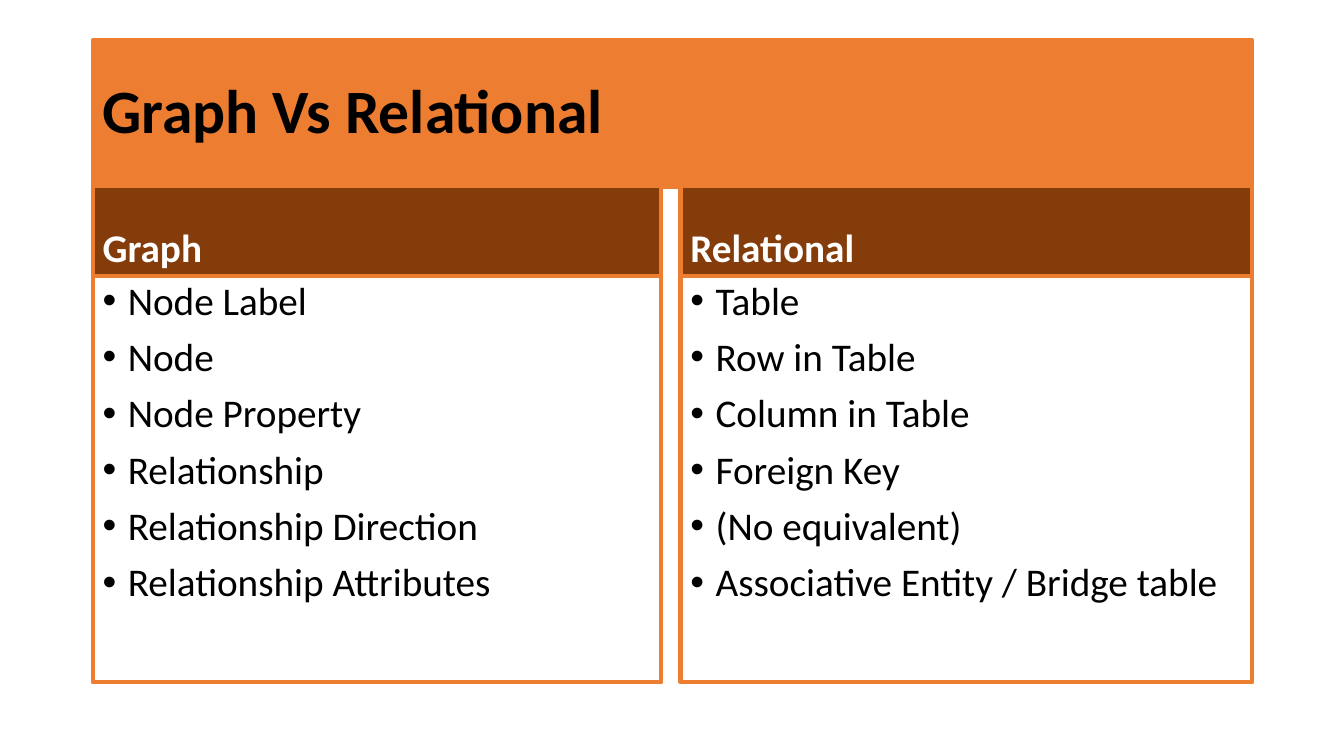
from pptx import Presentation
from pptx.dml.color import RGBColor
from pptx.enum.shapes import MSO_SHAPE
from pptx.enum.text import MSO_ANCHOR, PP_ALIGN
from pptx.oxml.xmlchemy import OxmlElement
from pptx.util import Inches, Pt

COLORS = {"orange": "ED7D31", "brown": "843C0B", "black": "000000", "white": "FFFFFF"}
FONT = "Calibri"

LEFT = 0.92
TITLE_TOP, TITLE_HEIGHT = 0.4, 1.45
HEADER_TOP, HEADER_HEIGHT = 1.84, 0.9
LIST_TOP, LIST_HEIGHT = HEADER_TOP + HEADER_HEIGHT, 4.03

# Heading, left, width and entries of each column
COLUMNS = [
    ("Graph", LEFT, 5.64,
     ["Node Label", "Node", "Node Property", "Relationship",
      "Relationship Direction", "Relationship Attributes"]),
    ("Relational", 6.75, 5.67,
     ["Table", "Row in Table", "Column in Table", "Foreign Key",
      "(No equivalent)", "Associative Entity / Bridge table"]),
]


def color(name):
    return RGBColor.from_string(COLORS[name])


def add_box(slide, left, top, width, height, fill=None, anchor=MSO_ANCHOR.TOP):
    """Add an orange-outlined rectangle and return its text frame."""
    shape = slide.shapes.add_shape(
        MSO_SHAPE.RECTANGLE, Inches(left), Inches(top), Inches(width), Inches(height))
    shape.shadow.inherit = False
    if fill:
        shape.fill.solid()
        shape.fill.fore_color.rgb = color(fill)
    else:
        shape.fill.background()
    shape.line.color.rgb = color("orange")
    shape.line.width = Pt(3)
    frame = shape.text_frame
    frame.word_wrap = True
    frame.vertical_anchor = anchor
    return frame


def add_bullet(paragraph):
    properties = paragraph._p.get_or_add_pPr()
    properties.set("marL", str(Inches(0.25)))
    properties.set("indent", str(-Inches(0.25)))
    font = OxmlElement("a:buFont")
    font.set("typeface", "Arial")
    bullet = OxmlElement("a:buChar")
    bullet.set("char", "•")
    properties.extend([font, bullet])


def write(paragraph, text, size=28, font_color="black", bold=False,
          space_before=10, bullet=False):
    paragraph.alignment = PP_ALIGN.LEFT
    paragraph.line_spacing = 0.9
    paragraph.space_before = Pt(space_before)
    if bullet:
        add_bullet(paragraph)
    run = paragraph.add_run()
    run.text = text
    run.font.name = FONT
    run.font.size = Pt(size)
    run.font.bold = bold
    run.font.color.rgb = color(font_color)


def add_column(slide, heading, left, width, entries):
    header = add_box(slide, left, HEADER_TOP, width, HEADER_HEIGHT,
                     fill="brown", anchor=MSO_ANCHOR.BOTTOM)
    write(header.paragraphs[0], heading, font_color="white", bold=True)

    frame = add_box(slide, left, LIST_TOP, width, LIST_HEIGHT)
    for index, entry in enumerate(entries):
        paragraph = frame.add_paragraph() if index else frame.paragraphs[0]
        write(paragraph, entry, bullet=True)


def main():
    presentation = Presentation()
    presentation.slide_width = Inches(13.33)
    presentation.slide_height = Inches(7.5)
    slide = presentation.slides.add_slide(presentation.slide_layouts[6])

    # Title band
    title = add_box(slide, LEFT, TITLE_TOP, 11.5, TITLE_HEIGHT,
                    fill="orange", anchor=MSO_ANCHOR.MIDDLE)
    write(title.paragraphs[0], "Graph Vs Relational", size=44, bold=True, space_before=0)

    # Comparison columns
    for column in COLUMNS:
        add_column(slide, *column)

    presentation.save("out.pptx")


main()
